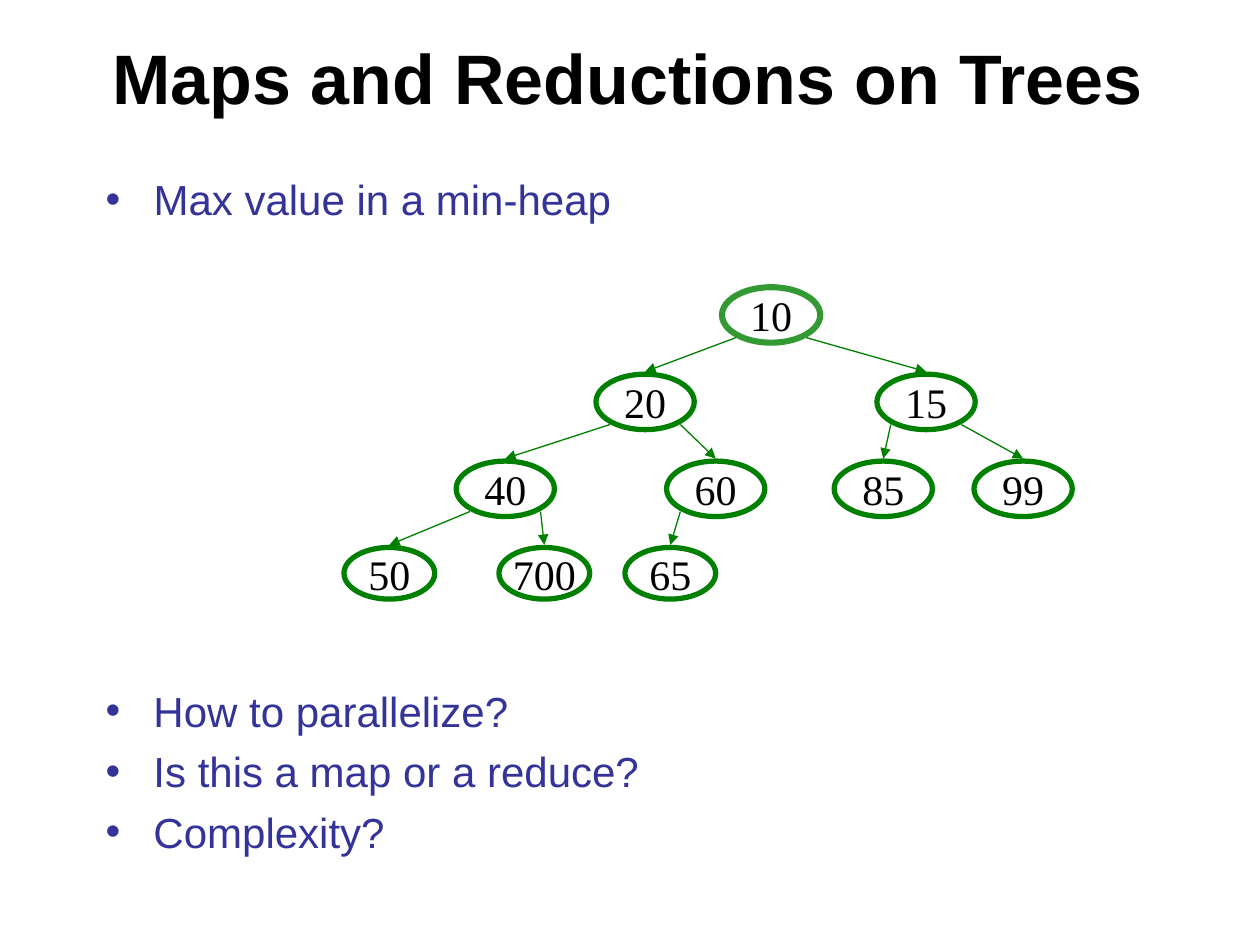
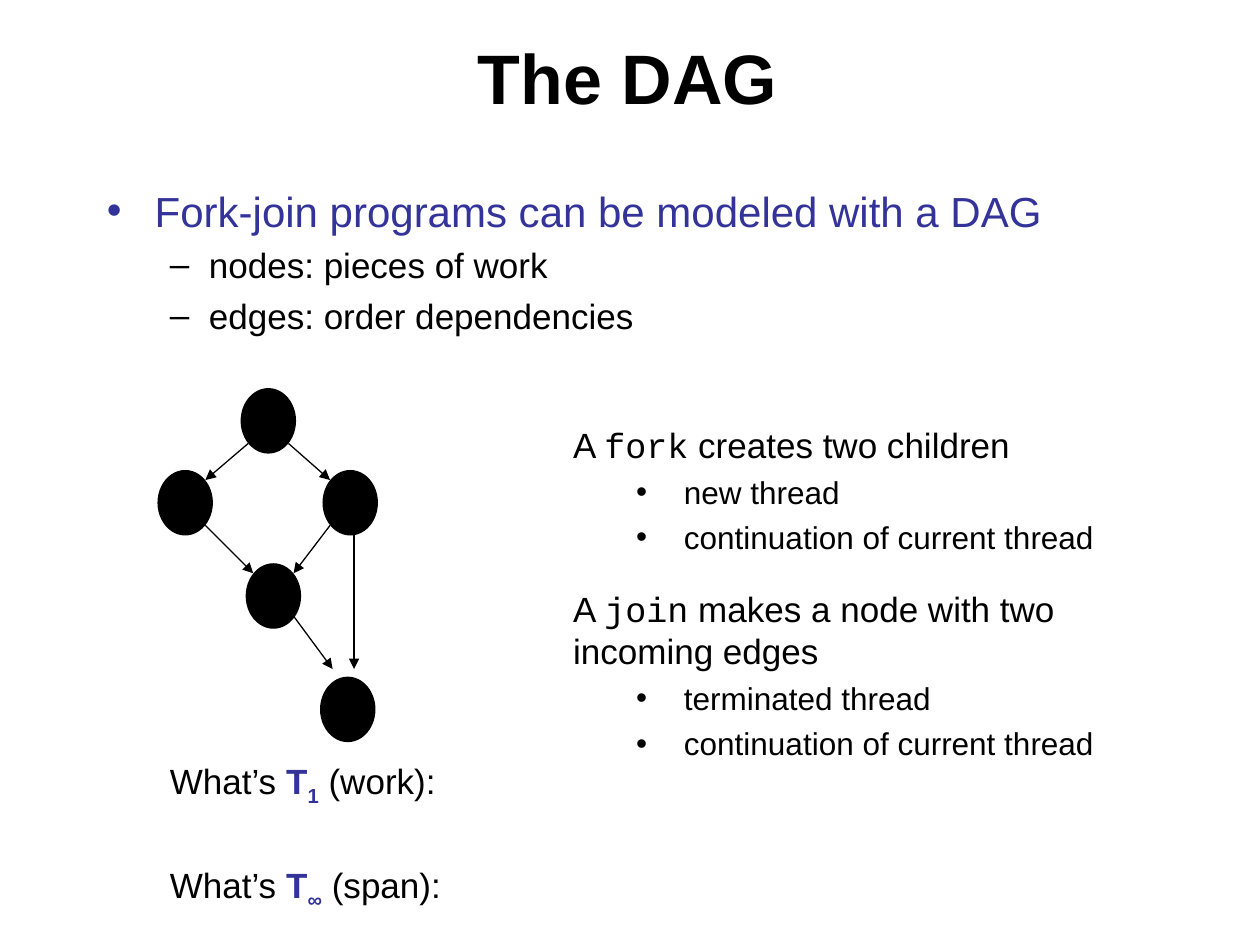
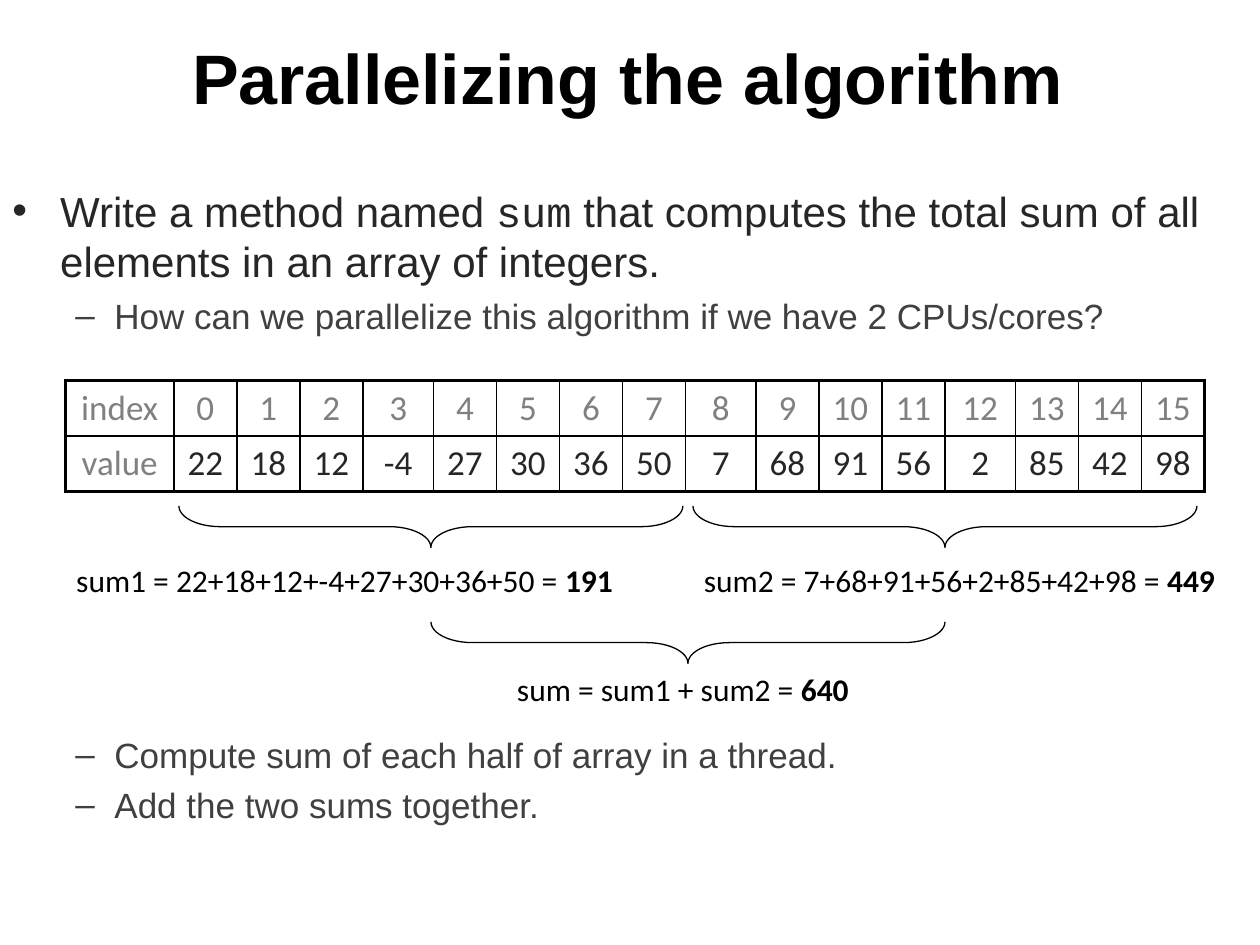
from dataclasses import dataclass

from lxml.etree import SubElement
from pptx import Presentation
from pptx.dml.color import RGBColor
from pptx.enum.shapes import MSO_CONNECTOR, MSO_SHAPE
from pptx.enum.text import MSO_ANCHOR, MSO_AUTO_SIZE, PP_ALIGN
from pptx.oxml.ns import qn
from pptx.util import Inches, Pt


@dataclass(frozen=True)
class Theme:
    black: str = "000000"
    blue: str = "333399"
    green: str = "008000"
    root_green: str = "339933"
    charcoal: str = "262626"
    dark_gray: str = "404040"
    gray: str = "808080"
    sans: str = "Arial"
    serif: str = "Times New Roman"
    code: str = "Courier New"
    data: str = "Calibri"
    title: int = 40
    large: int = 24
    medium: int = 20
    small: int = 18
    spacing: float = 0.24
    thin: float = 0.75
    grid: float = 1
    frame: float = 2.25
    node: float = 3
    root_node: float = 3.5


THEME = Theme()
BULLET = {"bullet": "•", "left": 0.38, "hanging": 0.38}
DASH = {"bullet": "–", "left": 0.81, "hanging": 0.31, "size": THEME.medium}
SUB_BULLET = {"bullet": "•", "left": 0.88, "hanging": 0.38, "size": THEME.small}
CODE = {"font": THEME.code}
BOLD = {"bold": True}


def style_span(span, font, size, color, bold=False, baseline=0):
    span.font.name = font
    span.font.size = Pt(size)
    span.font.bold = bold
    span.font.color.rgb = RGBColor.from_string(color)
    if baseline:
        span._r.get_or_add_rPr().set("baseline", str(baseline * 1000))


def add_text(frame, *spans, font=THEME.sans, size=THEME.large, color=THEME.black,
             bold=False, align=PP_ALIGN.LEFT, bullet=None, left=0, hanging=0, before=None):
    is_first = not frame.text
    para = frame.paragraphs[0] if is_first else frame.add_paragraph()
    if bullet:
        properties = para._p.get_or_add_pPr()
        properties.set("marL", str(Inches(left)))
        properties.set("indent", str(-Inches(hanging)))
        SubElement(properties, qn("a:buFont")).set("typeface", THEME.sans)
        SubElement(properties, qn("a:buChar")).set("char", bullet)
    para.alignment = align
    if not is_first:
        para.space_before = Pt(size * THEME.spacing if before is None else before)
    for item in spans:
        words, changes = (item, {}) if isinstance(item, str) else item
        span = para.add_run()
        span.text = words
        style = {"font": font, "size": size, "color": color, "bold": bold}
        style_span(span, **{**style, **changes})


def add_page(deck, title):
    page = deck.slides.add_slide(deck.slide_layouts[5])
    box = page.shapes.title
    box.left, box.top = Inches(0.19), Inches(0.11)
    box.width, box.height = Inches(9.58), Inches(0.99)
    frame = box.text_frame
    frame.auto_size = MSO_AUTO_SIZE.NONE
    frame.vertical_anchor = MSO_ANCHOR.MIDDLE
    add_text(frame, title, size=THEME.title, bold=True, align=PP_ALIGN.CENTER)
    return page


def add_box(page, left, top, width, height, wrap=True):
    box = page.shapes.add_textbox(Inches(left), Inches(top), Inches(width), Inches(height))
    box.text_frame.word_wrap = wrap
    return box.text_frame


def add_outline(page, kind, center, width, height, color, weight):
    x, y = center
    shape = page.shapes.add_shape(kind, Inches(x - width / 2), Inches(y - height / 2),
                                  Inches(width), Inches(height))
    shape.shadow.inherit = False
    shape.fill.background()
    shape.line.color.rgb = RGBColor.from_string(color)
    shape.line.width = Pt(weight)
    return shape


def add_arrow(page, start, end, color):
    arrow = page.shapes.add_connector(MSO_CONNECTOR.STRAIGHT,
                                      *(Inches(value) for value in (*start, *end)))
    arrow.line.color.rgb = RGBColor.from_string(color)
    arrow.line.width = Pt(THEME.thin)
    SubElement(arrow.line._get_or_add_ln(), qn("a:tailEnd")).set("type", "triangle")
    SubElement(arrow._element.spPr, qn("a:effectLst"))


def add_tree_node(page, label, center, width, height, color, weight):
    node = add_outline(page, MSO_SHAPE.OVAL, center, width, height, color, weight)
    frame = node.text_frame
    frame.word_wrap = False
    frame.vertical_anchor = MSO_ANCHOR.MIDDLE
    frame.margin_left = frame.margin_right = frame.margin_top = frame.margin_bottom = 0
    add_text(frame, label, font=THEME.serif, align=PP_ALIGN.CENTER)


def add_heap(page):
    level_y = [2.5, 3.19, 3.88, 4.55]
    nodes = {
        "10": (0, 6.12, None), "20": (1, 5.12, "10"), "15": (1, 7.35, "10"),
        "40": (2, 4.01, "20"), "60": (2, 5.68, "20"),
        "85": (2, 7.01, "15"), "99": (2, 8.12, "15"),
        "50": (3, 3.09, "40"), "700": (3, 4.32, "40"), "65": (3, 5.32, "60"),
    }
    for label, (level, x, parent) in nodes.items():
        y = level_y[level]
        width, height = (0.72, 0.41) if level == 3 else (0.78, 0.44)
        color, weight = (THEME.green, THEME.node) if parent else (THEME.root_green, THEME.root_node)
        add_tree_node(page, label, (x, y), width, height, color, weight)
        if parent:
            parent_level, parent_x, _ = nodes[parent]
            side = -0.28 if x < parent_x else 0.28
            add_arrow(page, (parent_x + side, level_y[parent_level] + 0.18),
                      (x, y - height / 2 - 0.02), THEME.green)


def add_dag(page):
    nodes = {"start": (2.13, 3.34), "left": (1.47, 3.99), "right": (2.78, 3.99),
             "join": (2.17, 4.73), "end": (2.76, 5.63)}
    for center in nodes.values():
        dot = add_outline(page, MSO_SHAPE.OVAL, center, 0.44, 0.52, THEME.black, THEME.thin)
        dot.fill.solid()
        dot.fill.fore_color.rgb = RGBColor.from_string(THEME.black)
        dot.line.fill.background()
    for source, target in [("start", "left"), ("start", "right"),
                           ("left", "join"), ("right", "join")]:
        (x1, y1), (x2, y2) = nodes[source], nodes[target]
        side = 0.16 if x2 > x1 else -0.16
        add_arrow(page, (x1 + side, y1 + 0.18), (x2 - side, y2 - 0.18), THEME.black)
    add_arrow(page, (2.81, 4.22), (2.81, 5.31), THEME.black)
    add_arrow(page, (2.33, 4.89), (2.64, 5.31), THEME.black)


def set_borders(cell, weights):
    properties = cell._tc.get_or_add_tcPr()
    for position, (side, weight) in enumerate(weights.items()):
        line = SubElement(properties, qn(f"a:ln{side}"), w=str(Pt(weight)))
        fill = SubElement(line, qn("a:solidFill"))
        SubElement(fill, qn("a:srgbClr")).set("val", THEME.black)
        properties.insert(position, line)


def add_array_table(page, values):
    rows = [["index", *range(len(values))], ["value", *values]]
    widths = [0.86] + [0.56 if index in (3, 8, 12) else 0.5 for index in range(len(values))]
    table = page.shapes.add_table(2, len(widths), Inches(0.52), Inches(3.02),
                                  Inches(sum(widths)), Inches(0.88)).table
    table.first_row = table.horz_banding = False
    for column, width in zip(table.columns, widths):
        column.width = Inches(width)
    last = len(widths) - 1
    for r, row in enumerate(rows):
        table.rows[r].height = Inches(0.44)
        for c, value in enumerate(row):
            cell = table.cell(r, c)
            cell.fill.background()
            outer = {"L": c == 0, "R": c == last, "T": r == 0, "B": r == 1}
            set_borders(cell, {side: THEME.frame if edge else THEME.grid
                               for side, edge in outer.items()})
            color = THEME.charcoal if r and c else THEME.gray
            add_text(cell.text_frame, str(value), font=THEME.data, size=THEME.medium,
                     color=color, align=PP_ALIGN.CENTER)


def add_sum(page, brace_center, span, label_left, label_top, label_width, formula, total):
    brace = add_outline(page, MSO_SHAPE.LEFT_BRACE, brace_center, 0.33, span,
                        THEME.black, THEME.thin)
    brace.rotation = 270
    brace.adjustments[0] = 1
    brace.adjustments[1] = 0.5
    label = add_box(page, label_left, label_top, label_width, 0.4, wrap=False)
    add_text(label, f"{formula} = ", (str(total), BOLD), font=THEME.data,
             size=THEME.small, align=PP_ALIGN.CENTER)


def build_heap_page(deck):
    page = add_page(deck, "Maps and Reductions on Trees")
    add_text(add_box(page, 0.74, 1.33, 5.31, 0.44), "Max value in a min-heap",
             color=THEME.blue, **BULLET)
    add_heap(page)
    questions = add_box(page, 0.74, 5.39, 7.67, 1.63)
    for question in ["How to parallelize?", "Is this a map or a reduce?", "Complexity?"]:
        add_text(questions, question, color=THEME.blue, **BULLET)


def build_dag_page(deck):
    page = add_page(deck, "The DAG")
    model = add_box(page, 0.75, 1.42, 8.83, 1.4)
    add_text(model, "Fork-join programs can be modeled with a DAG", color=THEME.blue, **BULLET)
    for meaning in ["nodes: pieces of work", "edges: order dependencies"]:
        add_text(model, meaning, **DASH)
    add_dag(page)

    costs = add_box(page, 1.25, 5.98, 3.2, 1.25)
    symbol = {"color": THEME.blue, "bold": True}
    for mark, name in [("1", "work"), ("∞", "span")]:
        add_text(costs, "What’s ", ("T", symbol), (mark, {**symbol, "baseline": -25}),
                 f" ({name}):", size=THEME.medium, before=32)

    rules = add_box(page, 4.45, 3.31, 4.92, 3.17)
    for keyword, effect, thread in [
        ("fork", "creates two children", "new thread"),
        ("join", "makes a node with two incoming edges", "terminated thread"),
    ]:
        add_text(rules, "A ", (keyword, CODE), f" {effect}", size=THEME.medium, before=18)
        for child in [thread, "continuation of current thread"]:
            add_text(rules, child, **SUB_BULLET)


def build_sum_page(deck):
    page = add_page(deck, "Parallelizing the algorithm")
    task = add_box(page, 0, 1.42, 10, 1.4)
    add_text(task, "Write a method named ", ("sum", CODE),
             " that computes the total sum of all elements in an array of integers.",
             color=THEME.charcoal, **BULLET)
    add_text(task, "How can we parallelize this algorithm if we have 2 CPUs/cores?",
             color=THEME.dark_gray, **DASH)

    values = [22, 18, 12, -4, 27, 30, 36, 50, 7, 68, 91, 56, 2, 85, 42, 98]
    add_array_table(page, values)
    halves = [values[:8], values[8:]]
    places = [(3.42, 0.5, 4.47), (7.5, 5.48, 4.27)]
    for number, (half, (center, left, width)) in enumerate(zip(halves, places), 1):
        formula = f"sum{number} = " + "+".join(map(str, half))
        add_sum(page, (center, 4.18), 4, left, 4.4, width, formula, sum(half))
    add_sum(page, (5.46, 5.1), 4.08, 4, 5.27, 2.84, "sum = sum1 + sum2", sum(values))

    steps = add_box(page, 0, 5.77, 10, 0.9)
    for step in ["Compute sum of each half of array in a thread.", "Add the two sums together."]:
        add_text(steps, step, color=THEME.dark_gray, **DASH)


def main():
    deck = Presentation()
    deck.slide_width, deck.slide_height = Inches(10), Inches(7.5)
    build_heap_page(deck)
    build_dag_page(deck)
    build_sum_page(deck)
    deck.save("out.pptx")


if __name__ == "__main__":
    main()
